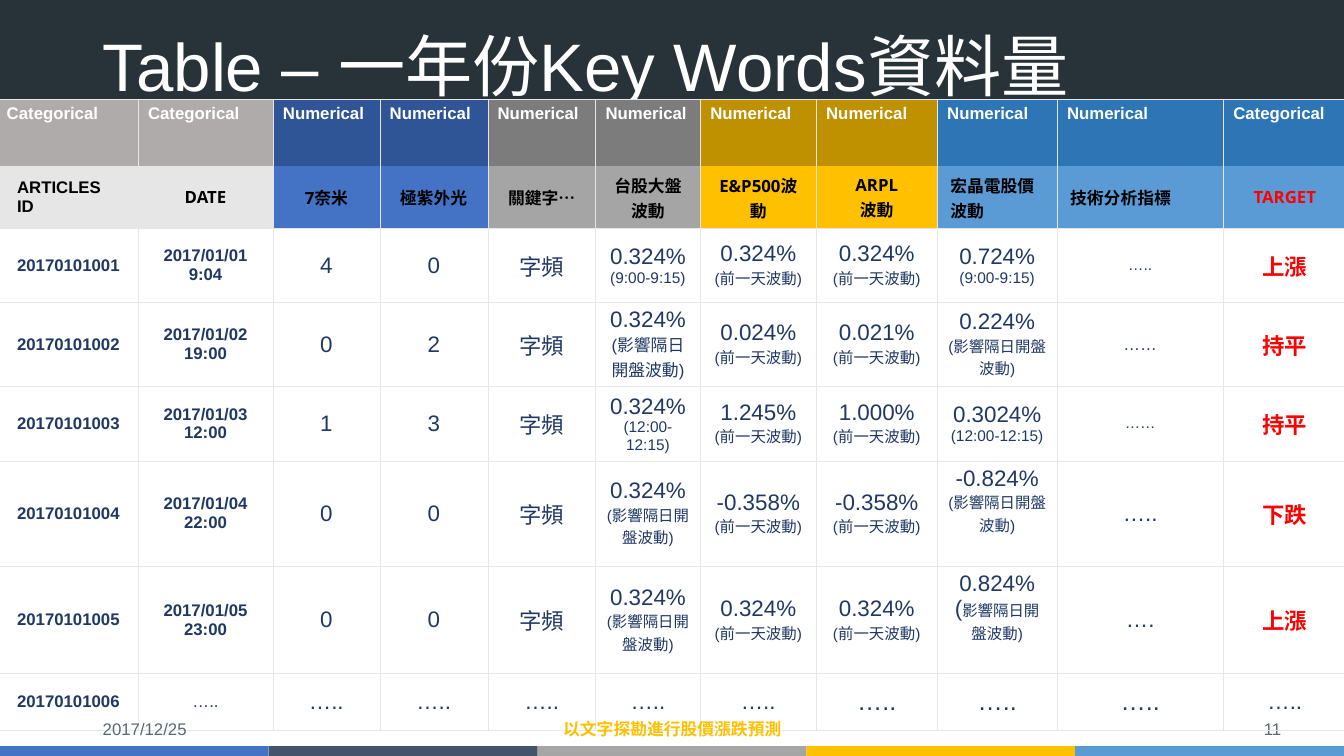
from lxml import etree
from pptx import Presentation
from pptx.dml.color import RGBColor
from pptx.enum.shapes import MSO_SHAPE
from pptx.enum.text import MSO_ANCHOR, PP_ALIGN
from pptx.oxml.ns import qn
from pptx.util import Cm, Pt

COLORS = {
    "banner": "273339", "white": "FFFFFF", "black": "000000", "footer": "576973",
    "gold": "FFC000", "navy": "203864", "red": "FF0000", "grid": "E7E6E6",
    "blue": "4472C4", "slate": "44546A", "gray": "A5A5A5", "sky": "5B9BD5",
    "dark_silver": "AFABAB", "dark_blue": "2F5597", "dark_gray": "7C7C7C",
    "dark_gold": "BF9000", "dark_sky": "2E75B6",
}
WIDTH, HEIGHT = 33.87, 19.05
STRIPES = ["blue", "slate", "gray", "gold", "sky"]
TABLE_LEFT, TABLE_TOP = -0.08, 2.5
COLUMN_WIDTHS = [3.56, 3.4, 2.69, 2.72, 2.72, 2.64, 2.92, 3.05, 3.02, 4.19, 3.1]
ROW_HEIGHTS = [1.69, 1.57, 1.85, 2.13, 1.82, 2.66, 2.7, 1.42]
BODY_INSETS = (0.25, 0.13, 0.25, 0.13)
NAME_INSETS = (0.33, 0.18, 0.33, 0.18)
ID_INSETS = (0.51, 0.13, 0.25, 0.13)
NO_STYLE = "{2D5ABB26-0587-4C30-8999-92F81FD0307C}"

# Kind, name, kind fill, name fill
COLUMNS = [
    ("Categorical", "ARTICLES\nID", "dark_silver", "grid"),
    ("Categorical", "DATE", "dark_silver", "grid"),
    ("Numerical", "7奈米", "dark_blue", "blue"),
    ("Numerical", "極紫外光", "dark_blue", "blue"),
    ("Numerical", "關鍵字…", "dark_gray", "gray"),
    ("Numerical", "台股大盤波動", "dark_gray", "gray"),
    ("Numerical", "E&P500波動", "dark_gold", "gold"),
    ("Numerical", "ARPL\n波動", "dark_gold", "gold"),
    ("Numerical", "宏晶電股價波動", "dark_sky", "sky"),
    ("Numerical", "技術分析指標", "dark_sky", "sky"),
    ("Categorical", "TARGET", "dark_sky", "sky"),
]
ARIAL_NAMES = (0, 8, 9)
LEFT_NAMES = (0, 8, 9)

PREVIOUS_DAY = "(前一天波動)"
NEXT_OPENING = "(影響隔日開盤波動)"

# Date, counts, market move, index move, share move, chip move, indicator, target.
# A move is a value, a note and the note's size; an indicator is a text and its size.
ARTICLES = [
    ("2017/01/01\n9:04", "4", "0", ("0.324%", "(9:00-9:15)", 11), "0.324%", "0.324%",
     ("0.724%", "(9:00-9:15)", 11), ("…..", 11), "上漲"),
    ("2017/01/02\n19:00", "0", "2", ("0.324%", NEXT_OPENING, 12), "0.024%", "0.021%",
     ("0.224%", NEXT_OPENING, 11), ("……", 12), "持平"),
    ("2017/01/03\n12:00", "1", "3", ("0.324%", "(12:00-12:15)", 11), "1.245%", "1.000%",
     ("0.3024%", "(12:00-12:15)", 11), ("……", 11), "持平"),
    ("2017/01/04\n22:00", "0", "0", ("0.324%", NEXT_OPENING, 11), "-0.358%", "-0.358%",
     ("-0.824%", NEXT_OPENING, 11), ("…..", 16), "下跌"),
    ("2017/01/05\n23:00", "0", "0", ("0.324%", NEXT_OPENING, 11), "0.324%", "0.324%",
     ("0.824%", NEXT_OPENING, 11), ("….", 16), "上漲"),
]
PLACEHOLDER_SIZES = [12, 16, 16, 16, 16, 16, 18, 18, 18, 16]
TOP_ANCHORED = [(5, 8), (6, 8)]
LARGE_BRACKET = (6, 8)

# Text, left, top, width, height, alignment, format
TITLE = ("Table – 一年份Key Words資料量", 2.34, 0.69, 29.21, 1.88, PP_ALIGN.LEFT,
         {"size": 48, "color": "white"})
PAGE_NUMBER = ("11", 24.92, 17.96, 7.62, 0.79, PP_ALIGN.RIGHT, {"color": "footer"})
FOOTERS = [
    ("2017/12/25", 2.34, 17.86, 7.62, 1.02, PP_ALIGN.LEFT, {"color": "footer"}),
    ("以文字探勘進行股價漲跌預測", 11.23, 17.86, 11.43, 1.02, PP_ALIGN.CENTER,
     {"color": "gold", "bold": True}),
]


def rgb(name):
    return RGBColor.from_string(COLORS[name])


def write(frame, lines, align, color="navy", bold=False, font="Arial"):
    """Fill a text frame; each line is a list of (text, size) runs."""
    for index, line in enumerate(lines):
        paragraph = frame.paragraphs[0] if index == 0 else frame.add_paragraph()
        paragraph.alignment = align
        for text, size in line:
            run = paragraph.add_run()
            run.text = text
            run.font.color.rgb = rgb(color)
            for key, value in {"size": Pt(size), "bold": bold, "name": font}.items():
                setattr(run.font, key, value)


def plain(text, size=12):
    return [[(line, size)] for line in text.split("\n")]


def move(value, note, size=11):
    return [[(value, 16)], [(note, size)]]


def add_bar(slide, left, top, width, height, color):
    shape = slide.shapes.add_shape(
        MSO_SHAPE.RECTANGLE, Cm(left), Cm(top), Cm(width), Cm(height))
    shape.shadow.inherit = False
    shape.fill.solid()
    shape.fill.fore_color.rgb = rgb(color)
    shape.line.fill.background()


def add_label(slide, text, left, top, width, height, align, style):
    frame = slide.shapes.add_textbox(Cm(left), Cm(top), Cm(width), Cm(height)).text_frame
    frame.word_wrap = True
    frame.vertical_anchor = MSO_ANCHOR.MIDDLE
    style = dict(style)
    write(frame, plain(text, style.pop("size", 12)), align, **style)


def format_cell(cell, fill, sides, insets, anchor):
    for side, inset in zip(("left", "top", "right", "bottom"), insets):
        setattr(cell, f"margin_{side}", Cm(inset))
    cell.vertical_anchor = anchor
    properties = cell._tc.get_or_add_tcPr()
    for side in sides:
        line = etree.SubElement(properties, qn(f"a:ln{side}"), w=str(Pt(0.25)))
        solid = etree.SubElement(line, qn("a:solidFill"))
        etree.SubElement(solid, qn("a:srgbClr"), val=COLORS["grid"])
    if fill:
        cell.fill.solid()
        cell.fill.fore_color.rgb = rgb(fill)
    else:
        cell.fill.background()


def body_rows():
    """Yield the lines of each article row, cell by cell."""
    for number, article in enumerate(ARTICLES, 1):
        date, first, second, market, index, share, chip, indicator, target = article
        yield [plain(f"2017010100{number}"), plain(date), plain(first, 16),
               plain(second, 16), plain("字頻", 16), move(*market),
               move(index, PREVIOUS_DAY), move(share, PREVIOUS_DAY), move(*chip),
               plain(*indicator), plain(target, 16)]
    yield [plain("20170101006")] + [plain("…..", size) for size in PLACEHOLDER_SIZES]


def fill_header(table):
    for column, (kind, name, kind_fill, name_fill) in enumerate(COLUMNS):
        cell = table.cell(0, column)
        format_cell(cell, kind_fill, "LRT", BODY_INSETS, MSO_ANCHOR.TOP)
        write(cell.text_frame, plain(kind), PP_ALIGN.LEFT, "white", True)

        cell = table.cell(1, column)
        insets = NAME_INSETS if column else ID_INSETS
        format_cell(cell, name_fill, "LRB", insets, MSO_ANCHOR.MIDDLE)
        write(cell.text_frame, plain(name),
              PP_ALIGN.LEFT if column in LEFT_NAMES else PP_ALIGN.CENTER,
              "red" if name == "TARGET" else "black", True,
              "Arial" if column in ARIAL_NAMES else "Open Sans")


def fill_body(table):
    target_column = len(COLUMNS) - 1
    last_row = len(ROW_HEIGHTS) - 1
    for row, cells in enumerate(body_rows(), 2):
        for column, lines in enumerate(cells):
            place = (row, column)
            if place == LARGE_BRACKET:
                note, size = lines[1][0]
                lines[1] = [(note[0], 16), (note[1:], size)]
            is_target = column == target_column and row < last_row
            is_bold = column == 0 or is_target or (column == 1 and row < last_row)
            anchor = MSO_ANCHOR.TOP if place in TOP_ANCHORED else MSO_ANCHOR.MIDDLE
            cell = table.cell(row, column)
            format_cell(cell, None, "LRTB", BODY_INSETS if column else ID_INSETS, anchor)
            write(cell.text_frame, lines, PP_ALIGN.CENTER if column else PP_ALIGN.LEFT,
                  "red" if is_target else "navy", is_bold)


def add_keyword_table(slide):
    frame = slide.shapes.add_table(
        len(ROW_HEIGHTS), len(COLUMNS), Cm(TABLE_LEFT), Cm(TABLE_TOP),
        Cm(sum(COLUMN_WIDTHS)), Cm(sum(ROW_HEIGHTS)))
    table = frame.table
    table.first_row = table.horz_banding = False
    table._tbl.tblPr.find(qn("a:tableStyleId")).text = NO_STYLE
    for column, width in zip(table.columns, COLUMN_WIDTHS):
        column.width = Cm(width)
    for row, height in zip(table.rows, ROW_HEIGHTS):
        row.height = Cm(height)
    fill_header(table)
    fill_body(table)


def main():
    presentation = Presentation()
    presentation.slide_width, presentation.slide_height = Cm(WIDTH), Cm(HEIGHT)
    slide = presentation.slides.add_slide(presentation.slide_layouts[6])
    add_bar(slide, 0, -0.03, WIDTH, 3.28, "banner")
    stripe_width = WIDTH / len(STRIPES)
    for index, color in enumerate(STRIPES):
        add_bar(slide, index * stripe_width, 18.8, stripe_width, 0.25, color)
    add_label(slide, *TITLE)
    add_label(slide, *PAGE_NUMBER)
    add_keyword_table(slide)
    for footer in FOOTERS:
        add_label(slide, *footer)
    presentation.save("out.pptx")


if __name__ == "__main__":
    main()
